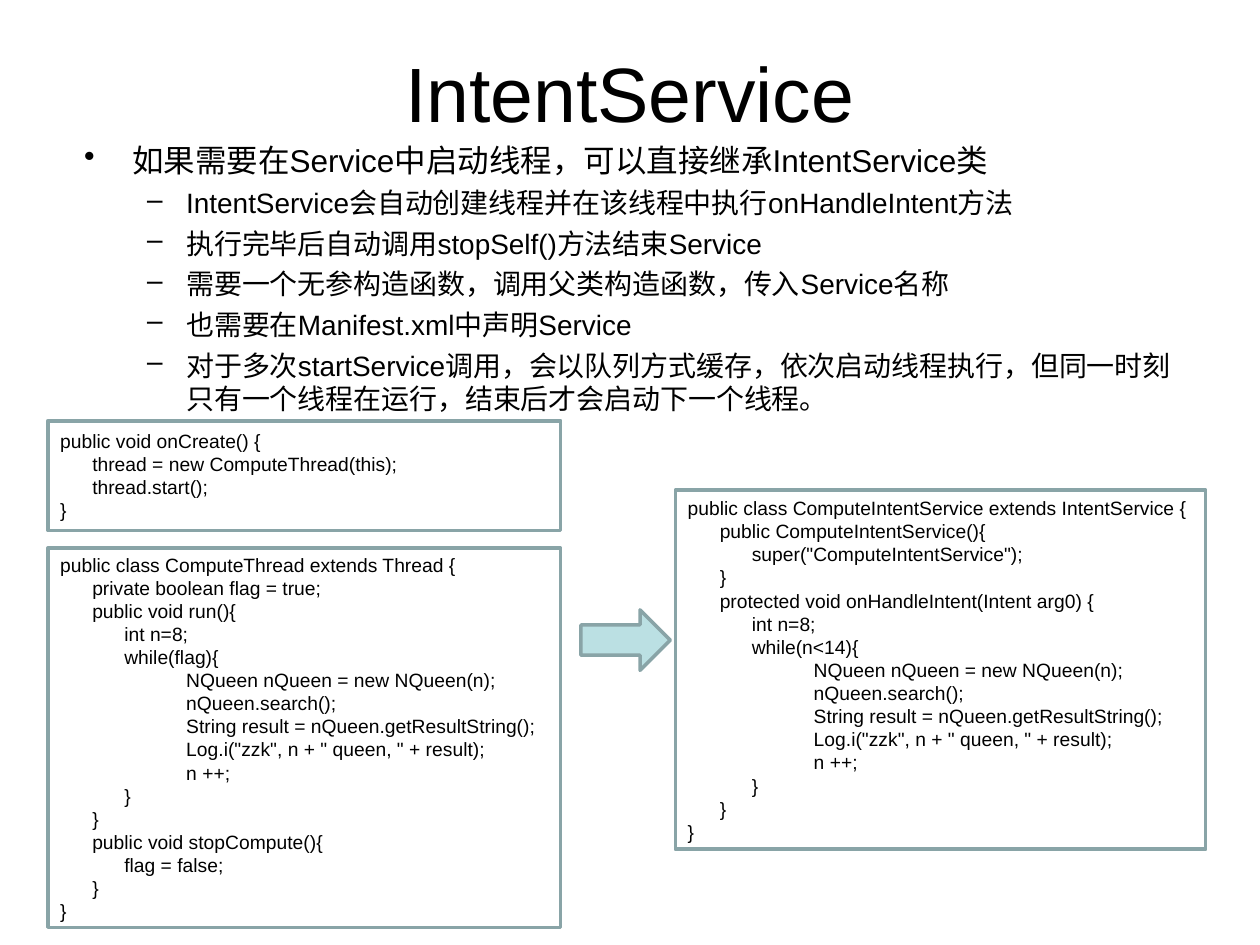
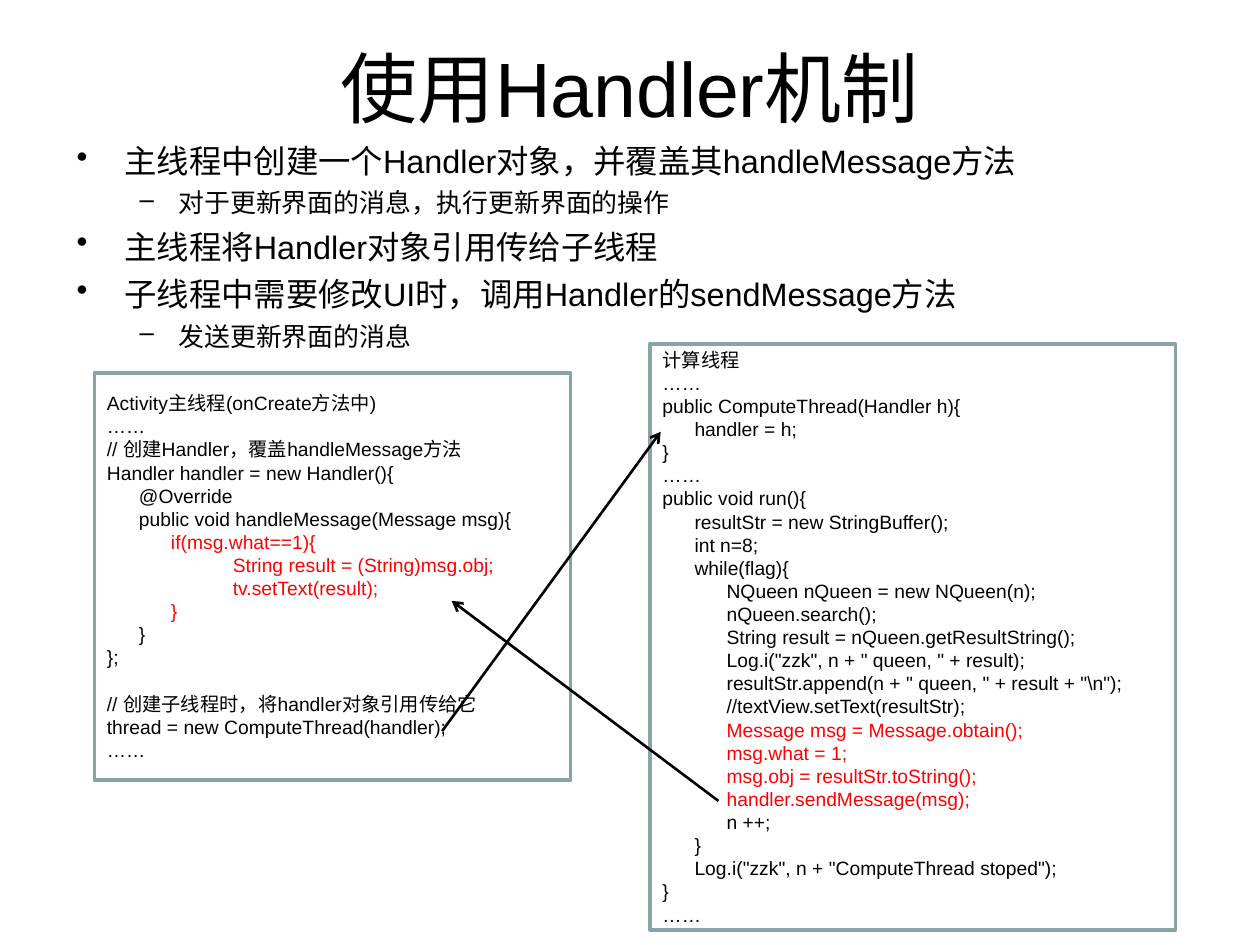
import dataclasses

import lxml.etree
import pptx
import pptx.dml.color
import pptx.enum.shapes
import pptx.enum.text
import pptx.oxml.ns
import pptx.util

SHAPES = pptx.enum.shapes.MSO_SHAPE
ANCHOR = pptx.enum.text.MSO_ANCHOR
ALIGN = pptx.enum.text.PP_ALIGN


@dataclasses.dataclass(frozen=True)
class Theme:
    """Colours, type sizes and line widths of the deck."""
    font: str = "Arial"
    ink: str = "000000"
    paper: str = "FFFFFF"
    border: str = "89A4A7"
    accent: str = "BBE0E3"
    emphasis: str = "FF0000"
    title_size: float = 44
    code_size: float = 11
    code_line: float = 13.2
    border_width: float = 2
    pointer_width: float = 1.5


@dataclasses.dataclass(frozen=True)
class Box:
    """A region counted in grid columns and rows."""
    left: float
    top: float
    width: float
    height: float

    def frame(self):
        """Return left, top, width and height as lengths."""
        return [cells(n) for n in (self.left, self.top, self.width, self.height)]

    def point(self, across, down):
        """Return the point at the given shares of the region."""
        return (cells(self.left + across * self.width),
                cells(self.top + down * self.height))


THEME = Theme()
COLUMNS, ROWS = 100, 75
CELL = pptx.util.Inches(10) // COLUMNS
LEVELS = (("•", 0.38, -0.38), ("–", 0.81, -0.31))

INTENT_POINTS = (
    (0, "如果需要在Service中启动线程，可以直接继承IntentService类"),
    (1, "IntentService会自动创建线程并在该线程中执行onHandleIntent方法"),
    (1, "执行完毕后自动调用stopSelf()方法结束Service"),
    (1, "需要一个无参构造函数，调用父类构造函数，传入Service名称"),
    (1, "也需要在Manifest.xml中声明Service"),
    (1, "对于多次startService调用，会以队列方式缓存，依次启动线程执行，"
        "但同一时刻只有一个线程在运行，结束后才会启动下一个线程。"),
)
HANDLER_POINTS = (
    (0, "主线程中创建一个Handler对象，并覆盖其handleMessage方法"),
    (1, "对于更新界面的消息，执行更新界面的操作"),
    (0, "主线程将Handler对象引用传给子线程"),
    (0, "子线程中需要修改UI时，调用Handler的sendMessage方法"),
    (1, "发送更新界面的消息"),
)

SERVICE_CLASS = """public class ComputeIntentService extends IntentService {
      public ComputeIntentService(){
            super("ComputeIntentService");
      }
      protected void onHandleIntent(Intent arg0) {
            int n=8;
            while(n<14){
    \tNQueen nQueen = new NQueen(n);
    \tnQueen.search();
    \tString result = nQueen.getResultString();
    \tLog.i("zzk", n + " queen, " + result);
    \tn ++;
            }
      }
}"""
THREAD_CLASS = """public class ComputeThread extends Thread {
      private boolean flag = true;
      public void run(){
            int n=8;
            while(flag){
    \tNQueen nQueen = new NQueen(n);
    \tnQueen.search();
    \tString result = nQueen.getResultString();
    \tLog.i("zzk", n + " queen, " + result);
\tn ++;
            }
      }
      public void stopCompute(){
            flag = false;
      }
}"""
ON_CREATE = """public void onCreate() {
      thread = new ComputeThread(this);
      thread.start();
}"""
COMPUTE_THREAD = """计算线程
……
public ComputeThread(Handler h){
      handler = h;
}
……
public void run(){
      resultStr = new StringBuffer();
      int n=8;
      while(flag){
            NQueen nQueen = new NQueen(n);
            nQueen.search();
            String result = nQueen.getResultString();
            Log.i("zzk", n + " queen, " + result);
            resultStr.append(n + " queen, " + result + "\\n");
            //textView.setText(resultStr);
            Message msg = Message.obtain();
            msg.what = 1;
            msg.obj = resultStr.toString();
            handler.sendMessage(msg);
            n ++;
      }
      Log.i("zzk", n + "ComputeThread stoped");
}
……"""
MAIN_THREAD = """Activity主线程(onCreate方法中)
……
// 创建Handler，覆盖handleMessage方法
Handler handler = new Handler(){
      @Override
      public void handleMessage(Message msg){
            if(msg.what==1){
\tString result = (String)msg.obj;
\ttv.setText(result);
            }
      }
};

// 创建子线程时，将handler对象引用传给它
thread = new ComputeThread(handler);
……"""


def cells(count):
    """Convert grid cells to a length."""
    return pptx.util.Emu(round(count * CELL))


def rgb(value):
    """Return a colour from its hex digits."""
    return pptx.dml.color.RGBColor.from_string(value)


def add_child(parent, tag, **attributes):
    """Append a drawing element with the given attributes."""
    return lxml.etree.SubElement(parent, pptx.oxml.ns.qn(tag), attributes)


def write(frame, text, size, color=THEME.ink, align=ALIGN.LEFT, level=None,
          before=0, tab=None):
    """Add one formatted paragraph to a text frame."""
    first = frame.paragraphs[0]
    paragraph = frame.add_paragraph() if first.runs else first
    properties = paragraph._p.get_or_add_pPr()
    if level is not None:
        mark, margin, indent = LEVELS[level]
        paragraph.level = level
        properties.set("marL", str(pptx.util.Inches(margin)))
        properties.set("indent", str(pptx.util.Inches(indent)))
        add_child(properties, "a:buChar", char=mark)
    if tab:
        stops = add_child(properties, "a:tabLst")
        add_child(stops, "a:tab", pos=str(pptx.util.Inches(tab)), algn="l")
    paragraph.alignment = align
    if before and paragraph._p is not first._p:
        paragraph.space_before = pptx.util.Pt(before)
    run = paragraph.add_run()
    run.text = text
    run.font.name = THEME.font
    run.font.size = pptx.util.Pt(size)
    run.font.color.rgb = rgb(color)


def text_area(slide, box, anchor):
    """Add a wrapping text box and return its frame."""
    frame = slide.shapes.add_textbox(*box.frame()).text_frame
    frame.word_wrap = True
    frame.vertical_anchor = anchor
    return frame


def title(slide, box, text):
    """Add the centred slide title."""
    write(text_area(slide, box, ANCHOR.MIDDLE), text, THEME.title_size,
          align=ALIGN.CENTER)


def outline(slide, box, points, sizes, gaps):
    """Add the two-level bullet list."""
    frame = text_area(slide, box, ANCHOR.TOP)
    for level, text in points:
        write(frame, text, sizes[level], level=level, before=gaps[level])


def bordered(slide, kind, box, fill):
    """Add a shape with the shared border."""
    shape = slide.shapes.add_shape(kind, *box.frame())
    shape.shadow.inherit = False
    shape.fill.solid()
    shape.fill.fore_color.rgb = rgb(fill)
    shape.line.color.rgb = rgb(THEME.border)
    shape.line.width = pptx.util.Pt(THEME.border_width)
    return shape


def code_panel(slide, box, code, highlighted=()):
    """Add a bordered listing, turning empty code lines into spacing."""
    frame = bordered(slide, SHAPES.RECTANGLE, box, THEME.paper).text_frame
    frame.word_wrap = True
    frame.vertical_anchor = ANCHOR.MIDDLE
    gap = 0
    for number, line in enumerate(code.split("\n")):
        if line:
            color = THEME.emphasis if number in highlighted else THEME.ink
            write(frame, line, THEME.code_size, color=color, before=gap, tab=1)
        gap = 0 if line else THEME.code_line


def pointer(slide, start, end):
    """Draw an arrow between two points."""
    link = slide.shapes.add_connector(
        pptx.enum.shapes.MSO_CONNECTOR.STRAIGHT, *start, *end)
    link.line.color.rgb = rgb(THEME.ink)
    link.line.width = pptx.util.Pt(THEME.pointer_width)
    add_child(link.line._get_or_add_ln(), "a:tailEnd", type="arrow")
    add_child(link._element.spPr, "a:effectLst")


def intent_service_slide(slide):
    """Compare a hand-made thread with an IntentService."""
    left, width = 3.8, 40.7
    title(slide, Box(5, 3, 90, 8.5), "IntentService")
    outline(slide, Box(5.7, 10.7, 90, 22.7), INTENT_POINTS, (18, 16), (4.5, 4))
    code_panel(slide, Box(53.6, 38.9, 42.1, 28.5), SERVICE_CLASS)
    code_panel(slide, Box(left, 43.5, width, 30.1), THREAD_CLASS)
    code_panel(slide, Box(left, 33.4, width, 8.7), ON_CREATE)
    bordered(slide, SHAPES.RIGHT_ARROW, Box(46.1, 48.4, 7.1, 4.8), THEME.accent)


def handler_slide(slide):
    """Show how two threads exchange a handler and its messages."""
    compute = Box(51.6, 27.3, 41.7, 46.5)
    main_thread = Box(7.5, 29.6, 37.8, 32.3)
    title(slide, Box(5, 3, 90, 7.7), "使用Handler机制")
    outline(slide, Box(5.1, 10.7, 90, 18.1), HANDLER_POINTS, (18.5, 14.8), (5, 4))
    code_panel(slide, compute, COMPUTE_THREAD, range(16, 20))
    code_panel(slide, main_thread, MAIN_THREAD, range(6, 10))
    pointer(slide, compute.point(0.13, 0.78), main_thread.point(0.75, 0.56))
    pointer(slide, main_thread.point(0.73, 0.88), compute.point(0.02, 0.15))


def main():
    """Build and save the deck."""
    deck = pptx.Presentation()
    deck.slide_width, deck.slide_height = cells(COLUMNS), cells(ROWS)
    blank = deck.slide_layouts[6]
    for build in (intent_service_slide, handler_slide):
        build(deck.slides.add_slide(blank))
    deck.save("out.pptx")


if __name__ == "__main__":
    main()
